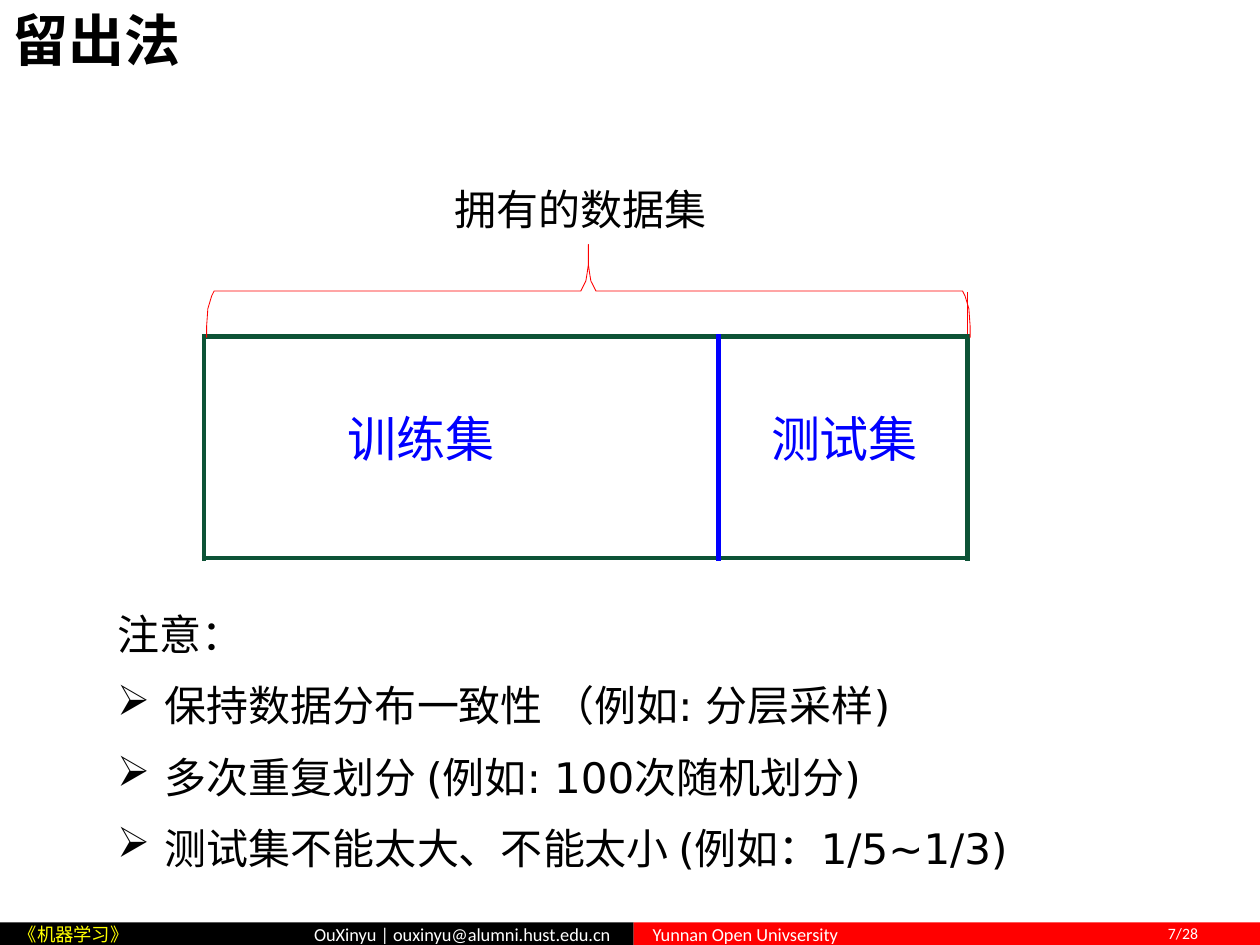
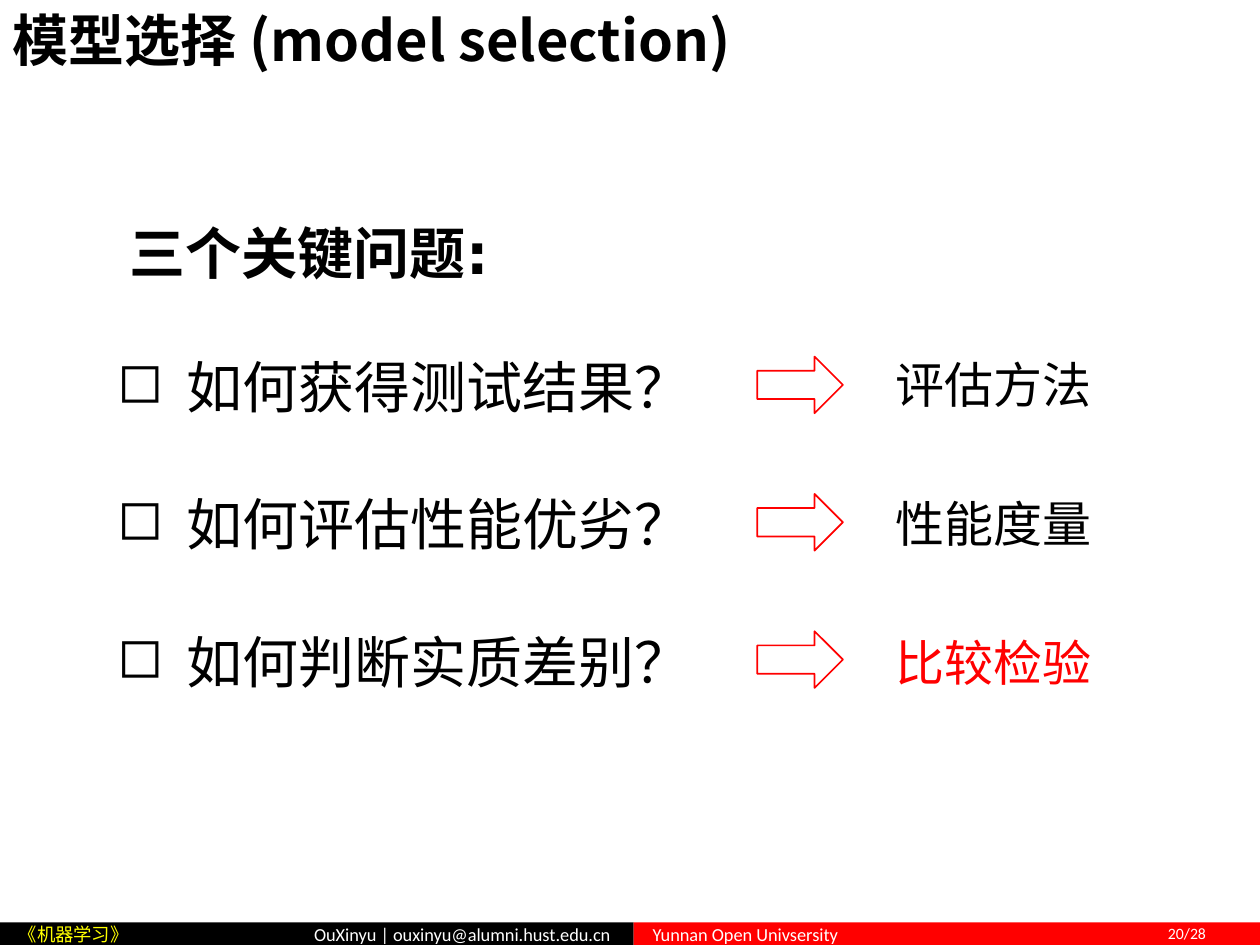
from dataclasses import dataclass

from lxml.etree import SubElement
from pptx import Presentation
from pptx.dml.color import RGBColor
from pptx.enum.shapes import MSO_SHAPE as Preset
from pptx.enum.text import MSO_ANCHOR as Anchor, PP_ALIGN as Align
from pptx.oxml.ns import qn
from pptx.util import Inches, Pt

WIDTH, HEIGHT = Inches(10), Inches(7.5)
COLUMNS, ROWS = 100, 75
BLACK, WHITE, RED, BLUE = "000000", "FFFFFF", "FF0000", "0000FF"
GREEN, YELLOW = "0D5336", "FFFF00"
HAN, LATIN, FOOTER_FONT = "Noto Sans CJK SC", "DejaVu Sans", "Calibri"
LINE_SPACING = 1.2
PAGE_COUNT = 28


def column(count):
    """Convert grid columns to a length."""
    return round(count * WIDTH / COLUMNS)


def row(count):
    """Convert grid rows to a length."""
    return round(count * HEIGHT / ROWS)


def color(value):
    """Turn a hex string into a colour."""
    return RGBColor.from_string(value)


@dataclass
class Box:
    """A region measured in grid columns and rows."""

    left: float
    top: float
    width: float
    height: float

    def inner(self, right, down, width, height):
        """Return a box offset from this one's corner."""
        return Box(self.left + right, self.top + down, width, height)

    def place(self):
        """Return the lengths that python-pptx expects."""
        return column(self.left), row(self.top), column(self.width), row(self.height)


@dataclass
class Style:
    """The look of a paragraph."""

    size: float
    color: str = BLACK
    bold: bool = False
    latin: str = LATIN
    align: Align = Align.LEFT
    gap: float = 0
    bullet: str = ""
    indent: float = 0


TITLE = Style(32, bold=True, latin=HAN)
HEADING = Style(32, bold=True)
CAPTION = Style(24)
NOTE = Style(24, gap=12, bullet="➢", indent=3.8)
QUESTION = Style(32, gap=40, bullet="◻", indent=5.5)
ANSWER = Style(28, gap=46)
KEY_ANSWER = Style(28, RED, gap=46)
SET_LABEL = Style(28, BLUE)
AUTHOR = Style(10.5, WHITE, latin=FOOTER_FONT, align=Align.RIGHT)
SCHOOL = Style(10.5, WHITE, latin=FOOTER_FONT)
COURSE = Style(10.5, YELLOW, latin=HAN)
PAGE = Style(9, WHITE, latin=FOOTER_FONT)


def format_paragraph(paragraph, style, first):
    """Apply a style to a paragraph and its runs."""
    paragraph.alignment = style.align
    paragraph.line_spacing = Pt(style.size * LINE_SPACING)
    paragraph.space_before = Pt(0 if first else style.gap)
    if style.bullet:
        properties = paragraph._p.get_or_add_pPr()
        properties.set("marL", str(column(style.indent)))
        properties.set("indent", str(-column(style.indent)))
        SubElement(properties, qn("a:buChar"), char=style.bullet)
    for run in paragraph.runs:
        font = run.font
        font.size, font.bold, font.name = Pt(style.size), style.bold, style.latin
        font.color.rgb = color(style.color)
        SubElement(run._r.get_or_add_rPr(), qn("a:ea"), typeface=HAN)


def write(frame, lines, anchor=Anchor.TOP, side=0):
    """Fill a text frame with (text, style) lines."""
    frame.word_wrap = True
    frame.vertical_anchor = anchor
    frame.margin_left = frame.margin_right = column(side)
    frame.margin_top = frame.margin_bottom = 0
    for index, (text, style) in enumerate(lines):
        paragraph = frame.add_paragraph() if index else frame.paragraphs[0]
        paragraph.text = text
        format_paragraph(paragraph, style, index == 0)


def add_text(slide, box, lines, anchor=Anchor.TOP, side=0):
    """Add a text box."""
    write(slide.shapes.add_textbox(*box.place()).text_frame, lines, anchor, side)


def add_band(slide, box, fill, text, style):
    """Add one filled footer band with its label."""
    band = slide.shapes.add_shape(Preset.RECTANGLE, *box.place())
    band.shadow.inherit = False
    band.fill.solid()
    band.fill.fore_color.rgb = color(fill)
    band.line.fill.background()
    write(band.text_frame, [(text, style)], Anchor.MIDDLE, 1.5)


def add_footer(slide, box, page):
    """Add the footer bands and the page number."""
    half = 50.3
    add_band(slide, box.inner(0, 0, half, box.height), BLACK,
             "OuXinyu | ouxinyu@alumni.hust.edu.cn ", AUTHOR)
    add_band(slide, box.inner(half, 0, box.width - half, box.height), RED,
             "Yunnan Open Univsersity", SCHOOL)
    add_band(slide, box.inner(0, 0.1, 24.1, box.height - 0.1), BLACK, "《机器学习》", COURSE)
    add_text(slide, box.inner(92.7, 0, 6, box.height),
             [(f"{page}/{PAGE_COUNT}", PAGE)], Anchor.MIDDLE)


def add_page(presentation, title, page):
    """Add a blank slide with the shared title and footer."""
    slide = presentation.slides.add_slide(presentation.slide_layouts[6])
    add_footer(slide, Box(0, 73.2, COLUMNS, 1.8), page)
    add_text(slide, Box(0, 0.1, 82.6, 6), [(title, TITLE)], Anchor.MIDDLE, 1)
    return slide


def set_border(cell, sides):
    """Draw cell borders given as side: (colour, points)."""
    properties = cell._tc.get_or_add_tcPr()
    for side in "LRTB":
        hue, points = sides.get(side, (None, 0))
        line = SubElement(properties, qn(f"a:ln{side}"), w=str(Pt(points)))
        if hue:
            fill = SubElement(line, qn("a:solidFill"))
            SubElement(fill, qn("a:srgbClr"), val=hue)
        else:
            SubElement(line, qn("a:noFill"))
    cell.fill.background()


def add_brace(slide, box):
    """Draw a brace opening downwards, mirrored about its middle."""
    shoulder = box.height / 2
    half = [(0, box.height), (0, 6.5), (0.1, 5.1), (0.4, 4.1), (0.6, shoulder),
            (29.7, shoulder), (30.1, 2.9), (30.2, 2.3), (30.3, 1.6), (30.3, 0)]
    outline = half + [(box.width - x, y) for x, y in reversed(half[:-1])]
    points = [(column(box.left + x), row(box.top + y)) for x, y in outline]
    builder = slide.shapes.build_freeform(*points[0])
    builder.add_line_segments(points[1:], close=False)
    brace = builder.convert_to_shape()
    brace.shadow.inherit = False
    brace.fill.background()
    brace.line.color.rgb = color(RED)
    brace.line.width = Pt(0.48)


def add_split_table(slide, box):
    """Add the table that splits the data set into two sets."""
    top_height = 3.5
    green, blue = (GREEN, 3), (BLUE, 3)
    sets = [("训练集", 40.8, 11.4, {"L": green, "T": green, "R": blue, "B": green}),
            ("测试集", 19.8, 4.2, {"L": blue, "T": green, "R": green, "B": green})]
    table = slide.shapes.add_table(2, len(sets), *box.place()).table
    table.first_row = table.horz_banding = False
    table.rows[0].height = row(top_height)
    table.rows[1].height = row(box.height - top_height)
    for index, (label, width, indent, borders) in enumerate(sets):
        table.columns[index].width = column(width)
        header, cell = table.cell(0, index), table.cell(1, index)
        set_border(header, {"R": (RED, 0.75), "B": green})
        header.margin_top = header.margin_bottom = 0
        header.text_frame.paragraphs[0].font.size = Pt(12)
        set_border(cell, borders)
        cell.text_frame.text = label
        format_paragraph(cell.text_frame.paragraphs[0], SET_LABEL, True)
        cell.vertical_anchor = Anchor.MIDDLE
        cell.margin_left, cell.margin_right = column(indent), 0
        cell.margin_top, cell.margin_bottom = 0, row(0.8)
    table.cell(0, 0).merge(table.cell(0, 1))


def add_data_split(slide, box):
    """Place the caption, brace and table of the data set."""
    add_text(slide, box.inner(19.9, 0, 21, 4.3), [("拥有的数据集", CAPTION)], Anchor.MIDDLE)
    add_split_table(slide, box.inner(0, 8.8, box.width, 21.1))
    add_brace(slide, box.inner(0.2, 5, box.width, 7.4))


def add_notes_list(slide, box):
    """Write the advice below the data set."""
    notes = ["保持数据分布一致性 （例如: 分层采样)",
             "多次重复划分 (例如: 100次随机划分)",
             "测试集不能太大、不能太小 (例如：1/5~1/3)"]
    add_text(slide, box, [("注意：", CAPTION)] + [(note, NOTE) for note in notes])


def add_questions(slide, box):
    """Place the heading, questions, arrows and answers."""
    pairs = [("如何获得测试结果？", "评估方法", ANSWER),
             ("如何评估性能优劣？", "性能度量", ANSWER),
             ("如何判断实质差别？", "比较检验", KEY_ANSWER)]
    pitch = 10.9
    add_text(slide, box.inner(1, 0, 32, 5.6), [("三个关键问题:", HEADING)], Anchor.MIDDLE)
    add_text(slide, box.inner(0, 10.8, 47, 27),
             [(question, QUESTION) for question, _, _ in pairs])
    for index in range(len(pairs)):
        spot = box.inner(50.8, 11.1 + index * pitch, 6.8, 4.5)
        arrow = slide.shapes.add_shape(Preset.RIGHT_ARROW, *spot.place())
        arrow.shadow.inherit = False
        arrow.fill.background()
        arrow.line.color.rgb = color(RED)
        arrow.line.width = Pt(0.96)
    add_text(slide, box.inner(61.8, 10.9, 17, 27.2),
             [(answer, style) for _, answer, style in pairs])


def main():
    """Build and save the presentation."""
    presentation = Presentation()
    presentation.slide_width, presentation.slide_height = WIDTH, HEIGHT
    holdout = add_page(presentation, "留出法", 7)
    add_data_split(holdout, Box(16.2, 14.4, 60.6, 29.9))
    add_notes_list(holdout, Box(9.3, 48.3, 72.3, 23))
    selection = add_page(presentation, "模型选择 (model selection)", 20)
    add_questions(selection, Box(9.3, 17.2, 80, 38))
    presentation.save("out.pptx")


if __name__ == "__main__":
    main()
